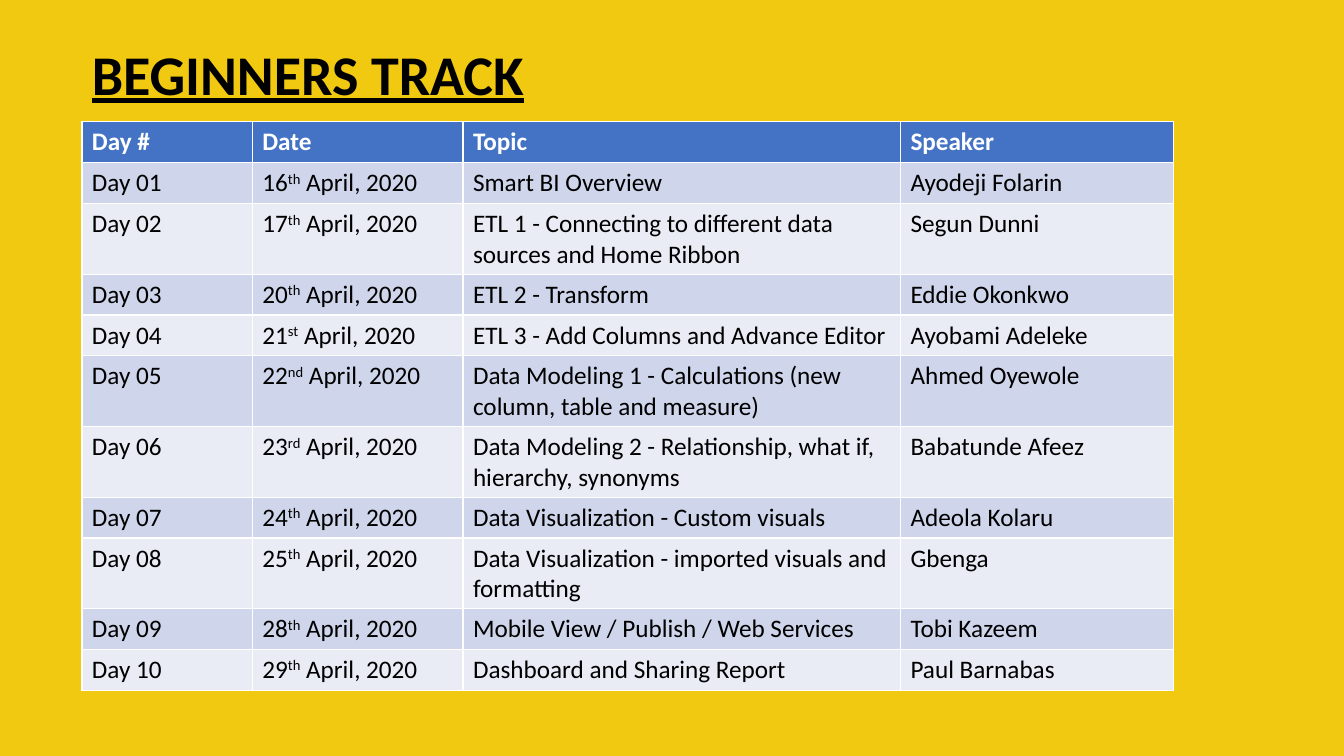
from pptx import Presentation
from pptx.dml.color import RGBColor
from pptx.enum.shapes import MSO_SHAPE
from pptx.enum.text import MSO_AUTO_SIZE
from pptx.util import Pt

HUES = {
    "gold": "F1C911",
    "black": "000000",
    "white": "FFFFFF",
    "blue": "4472C4",
    "mid": "CFD5EA",
    "pale": "E9EBF5",
}
TITLE = {"name": "Calibri", "size": Pt(40), "bold": True, "underline": True}
HEAD = {"name": "Calibri", "size": Pt(18), "bold": True}
BODY = {"name": "Calibri", "size": Pt(18), "bold": False}


def hue(name):
    return RGBColor.from_string(HUES[name])


def write(para, text, style, tint, base=0):
    run = para.add_run()
    run.text = text
    for key, value in style.items():
        setattr(run.font, key, value)
    run.font.color.rgb = hue(tint)
    if base:
        run._r.get_or_add_rPr().set("baseline", str(base))


deck = Presentation()
deck.slide_width, deck.slide_height = Pt(960), Pt(540)
slide = deck.slides.add_slide(deck.slide_layouts[6])

back = slide.shapes.add_shape(MSO_SHAPE.RECTANGLE, 0, 0, Pt(960), Pt(540))
back.shadow.inherit = False
back.fill.solid()
back.fill.fore_color.rgb = hue("gold")
back.line.fill.background()

title = slide.shapes.add_textbox(Pt(58.5), Pt(24.5), Pt(432), Pt(55.5))
title.text_frame.word_wrap = True
title.text_frame.auto_size = MSO_AUTO_SIZE.SHAPE_TO_FIT_TEXT
write(title.text_frame.paragraphs[0], "BEGINNERS TRACK", TITLE, "black")

heads = ["Day #", "Date", "Topic", "Speaker"]
talks = [
    ("16", "th", "Smart BI Overview", "Ayodeji Folarin"),
    ("17", "th", "ETL 1 - Connecting to different data sources and Home Ribbon", "Segun Dunni"),
    ("20", "th", "ETL 2 - Transform", "Eddie Okonkwo"),
    ("21", "st", "ETL 3 - Add Columns and Advance Editor", "Ayobami Adeleke"),
    ("22", "nd", "Data Modeling 1 - Calculations (new column, table and measure)", "Ahmed Oyewole"),
    ("23", "rd", "Data Modeling 2 - Relationship, what if, hierarchy, synonyms", "Babatunde Afeez"),
    ("24", "th", "Data Visualization - Custom visuals", "Adeola Kolaru"),
    ("25", "th", "Data Visualization - imported visuals and formatting", "Gbenga"),
    ("28", "th", "Mobile View / Publish / Web Services", "Tobi Kazeem"),
    ("29", "th", "Dashboard and Sharing Report", "Paul Barnabas"),
]
widths = [121.7, 150.5, 312.5, 195.1]
high = 29.2
count = len(talks) + 1

frame = slide.shapes.add_table(
    count, len(heads), Pt(58.5), Pt(87), Pt(sum(widths)), Pt(high * count)
)
table = frame.table
for col, width in zip(table.columns, widths):
    col.width = Pt(width)
for row in table.rows:
    row.height = Pt(high)

for col, text in enumerate(heads):
    cell = table.cell(0, col)
    cell.fill.solid()
    cell.fill.fore_color.rgb = hue("blue")
    write(cell.text_frame.paragraphs[0], text, HEAD, "white")

for row, (day, end, topic, host) in enumerate(talks, 1):
    date = [(day, 0), (end, 30000), (" April, 2020", 0)]
    parts = [[(f"Day {row:02}", 0)], date, [(topic, 0)], [(host, 0)]]
    for col, runs in enumerate(parts):
        cell = table.cell(row, col)
        cell.fill.solid()
        cell.fill.fore_color.rgb = hue("mid" if row % 2 else "pale")
        for text, base in runs:
            write(cell.text_frame.paragraphs[0], text, BODY, "black", base)

deck.save("out.pptx")
